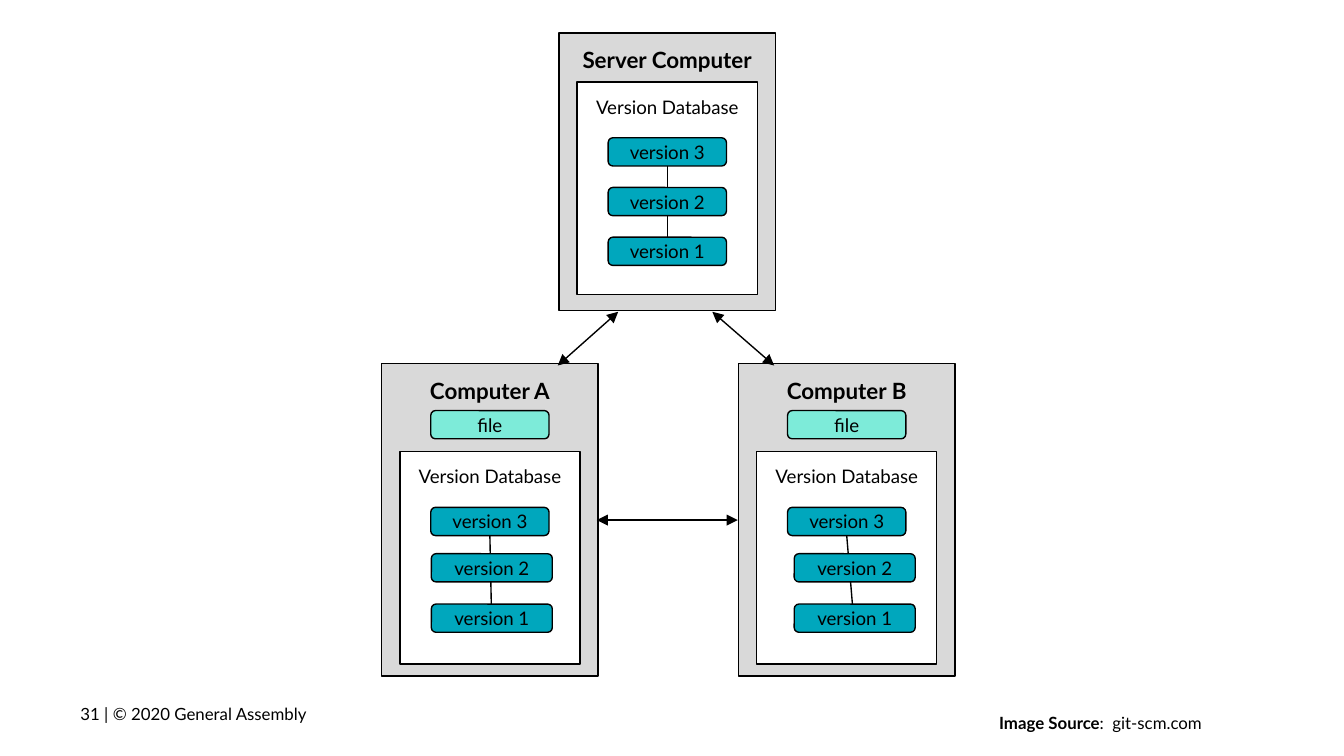
from dataclasses import dataclass

from lxml import etree
from pptx import Presentation
from pptx import util as u
from pptx.dml.color import RGBColor
from pptx.enum import shapes, text
from pptx.oxml import ns


@dataclass(frozen=True)
class Theme:
    font: str = "Lato"
    ink: str = "000000"
    computer: str = "D9D9D9"
    database: str = "FFFFFF"
    file: str = "7DEBD9"
    version: str = "00A7BD"
    heading_size: float = 12
    label_size: float = 10
    footer_size: float = 9
    line_width: float = 0.75


COLUMNS = 100
ROWS = 56.25
CHIP_WIDTH = 8.8
CHIP_HEIGHT = 2.1


def write_text(frame, *runs, theme, size, align=text.PP_ALIGN.CENTER,
               anchor=text.MSO_ANCHOR.MIDDLE, spacing=None):
    frame.word_wrap = True
    frame.vertical_anchor = anchor
    frame.margin_left = frame.margin_right = u.Inches(0.1)
    frame.margin_top = frame.margin_bottom = u.Inches(0.1)
    paragraph = frame.paragraphs[0]
    paragraph.alignment = align
    paragraph.line_spacing = spacing
    for words, bold in runs:
        run = paragraph.add_run()
        run.text = words
        run.font.name = theme.font
        run.font.size = u.Pt(size)
        run.font.bold = bold
        run.font.color.rgb = RGBColor.from_string(theme.ink)


class Diagram:
    def __init__(self, presentation, theme):
        self.theme = theme
        self.slide = presentation.slides.add_slide(presentation.slide_layouts[6])
        self.column = presentation.slide_width / COLUMNS
        self.row = presentation.slide_height / ROWS

    def place(self, left, top, width, height):
        return (round(left * self.column), round(top * self.row),
                round(width * self.column), round(height * self.row))

    def outline(self, line):
        line.color.rgb = RGBColor.from_string(self.theme.ink)
        line.width = u.Pt(self.theme.line_width)

    def box(self, words, area, fill, size, bold=False,
            kind=shapes.MSO_SHAPE.RECTANGLE, anchor=text.MSO_ANCHOR.TOP):
        shape = self.slide.shapes.add_shape(kind, *self.place(*area))
        shape.shadow.inherit = False
        shape.fill.solid()
        shape.fill.fore_color.rgb = RGBColor.from_string(fill)
        self.outline(shape.line)
        write_text(shape.text_frame, (words, bold), theme=self.theme,
                   size=size, anchor=anchor)

    def chip(self, words, left, top, fill, width=CHIP_WIDTH):
        self.box(words, (left, top, width, CHIP_HEIGHT), fill, self.theme.label_size,
                 kind=shapes.MSO_SHAPE.ROUNDED_RECTANGLE, anchor=text.MSO_ANCHOR.MIDDLE)

    def line(self, start, end, arrows=False):
        connector = self.slide.shapes.add_connector(
            shapes.MSO_CONNECTOR.STRAIGHT, *self.place(*start, *end))
        self.outline(connector.line)
        if arrows:
            line = connector.line._get_or_add_ln()
            for tag in ("a:headEnd", "a:tailEnd"):
                etree.SubElement(line, ns.qn(tag), type="triangle")
        etree.SubElement(connector._element.spPr, ns.qn("a:effectLst"))

    def database(self, left, top, chips):
        self.box("Version Database", (left, top, 13.4, 15.8),
                 self.theme.database, self.theme.label_size)
        first, last = chips[0], chips[-1]
        self.line((first[0] + first[2] / 2, first[1] + CHIP_HEIGHT),
                  (last[0] + last[2] / 2, last[1] + CHIP_HEIGHT))
        for number, (chip_left, chip_top, width) in zip((3, 2, 1), chips):
            self.chip(f"version {number}", chip_left, chip_top, self.theme.version, width)

    def computer(self, name, left, top, height, inset, drops, shift=0,
                 older_width=CHIP_WIDTH, has_file=False):
        self.box(name, (left, top, 16.1, height), self.theme.computer,
                 self.theme.heading_size, bold=True)
        chip_left = left + 3.65
        if has_file:
            self.chip("file", chip_left, top + 3.5, self.theme.file)
        database_top = top + inset
        widths = (CHIP_WIDTH, older_width, older_width)
        shifts = (0, shift, shift)
        chips = [(chip_left + move, database_top + drop, width)
                 for move, drop, width in zip(shifts, drops, widths)]
        self.database(left + 1.35, database_top, chips)

    def footer(self, area, *runs, **style):
        shape = self.slide.shapes.add_textbox(*self.place(*area))
        write_text(shape.text_frame, *runs, theme=self.theme,
                   size=self.theme.footer_size, **style)


def main():
    presentation = Presentation()
    presentation.slide_width = u.Pt(720)
    presentation.slide_height = u.Pt(405)
    diagram = Diagram(presentation, Theme())

    for name, left, shift in (("Computer A", 28.4, 0.05), ("Computer B", 54.95, 0.5)):
        diagram.computer(name, left, 27.05, 23.25, 6.55, (4.15, 7.6, 11.35),
                         shift, older_width=9, has_file=True)
    diagram.computer("Server Computer", 41.6, 2.45, 20.65, 3.65, (4.15, 7.85, 11.55))

    for start, end in (((46, 23.2), (41.5, 27.2)),
                       ((53, 23.2), (57.6, 27.2)),
                       ((54.9, 38.7), (44.4, 38.7))):
        diagram.line(start, end, arrows=True)

    diagram.footer((50, 51.55, 40.4, 4.3), ("Image Source", True), (":  git-scm.com", False),
                   align=text.PP_ALIGN.RIGHT, spacing=1.15)
    diagram.footer((5, 51, 25.9, 4.3), ("31 | © 2020 General Assembly", False),
                   align=text.PP_ALIGN.LEFT)
    presentation.save("out.pptx")


if __name__ == "__main__":
    main()
